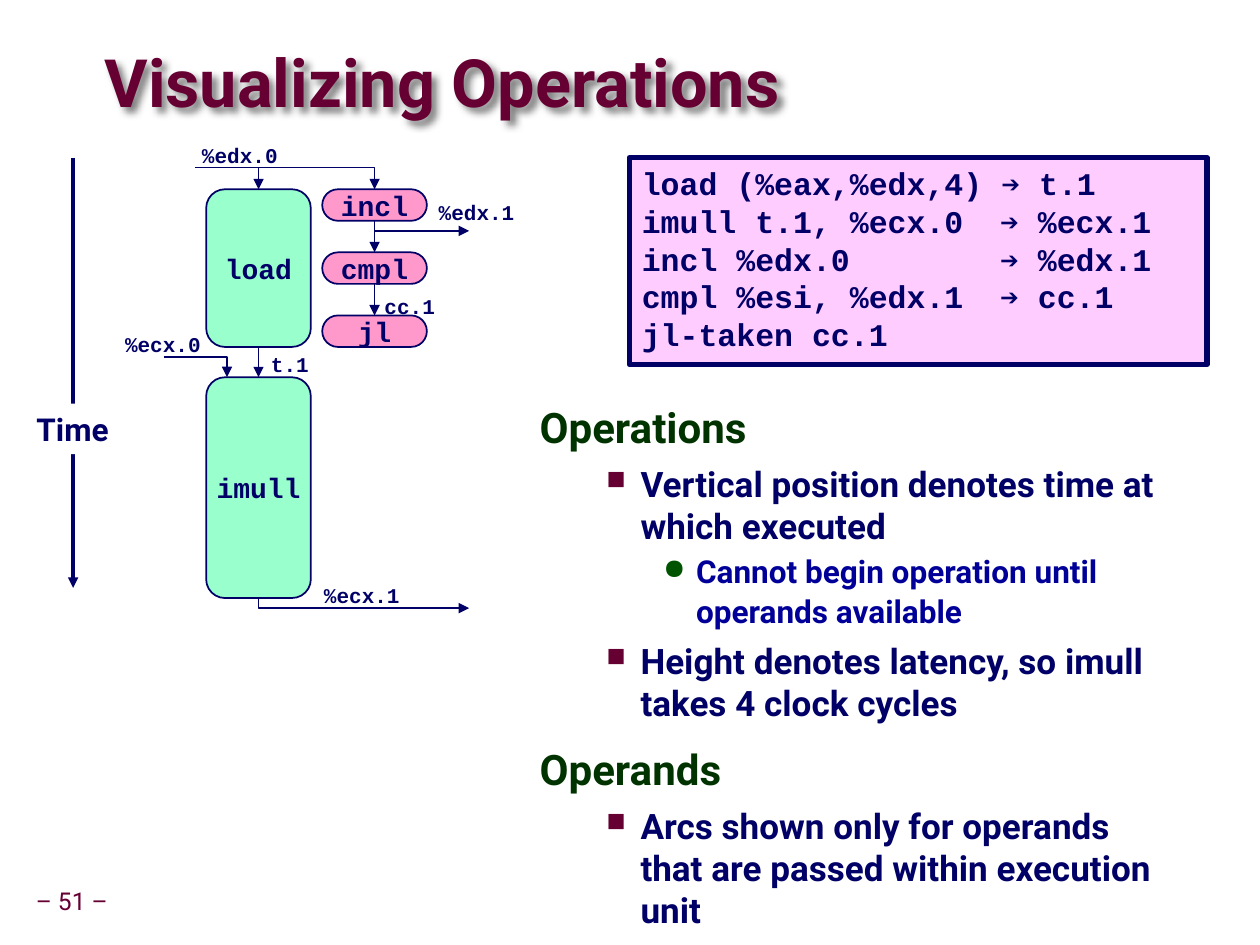
import pptx
import pptx.dml.color
import pptx.enum.shapes
import pptx.enum.text
import pptx.oxml
import pptx.oxml.ns
import pptx.util
from dataclasses import dataclass

Inches, Pt = pptx.util.Inches, pptx.util.Pt
RGB = pptx.dml.color.RGBColor.from_string
SHAPE = pptx.enum.shapes.MSO_SHAPE
STRAIGHT = pptx.enum.shapes.MSO_CONNECTOR.STRAIGHT
ALIGN, ANCHOR = pptx.enum.text.PP_ALIGN, pptx.enum.text.MSO_ANCHOR
NS = pptx.oxml.ns.nsdecls("a")


@dataclass(frozen=True)
class Theme:
    sans: str = "Roboto"
    mono: str = "Courier New"
    navy: str = "000066"
    blue: str = "000099"
    wine: str = "660033"
    green: str = "003300"
    dot: str = "005400"
    mint: str = "99FFCC"
    pink: str = "FF99CC"
    pale: str = "FFCCFF"
    white: str = "FFFFFF"
    shadow: str = "808080"
    title: int = 38
    heading: int = 24
    point: int = 20
    code: int = 18
    node: int = 16
    page: int = 14
    label: int = 12


theme = Theme()


def write(sp, text, font=theme.sans, size=theme.code, color=theme.navy, bold=True,
          align=ALIGN.LEFT, anchor=ANCHOR.TOP, wrap=False, inset=(0.1, 0.05),
          spacing=1.0, before=0, indent=None, bullet=None, tab=None):
    """Add one formatted paragraph to a shape, filling its empty first one."""
    tf = sp.text_frame
    tf.word_wrap, tf.vertical_anchor = wrap, anchor
    tf.margin_left = tf.margin_right = Inches(inset[0])
    tf.margin_top = tf.margin_bottom = Inches(inset[1])
    first = not tf.paragraphs[0].runs
    p = tf.paragraphs[0] if first else tf.add_paragraph()
    pPr = p._p.get_or_add_pPr()
    if indent:
        pPr.set("marL", str(Inches(indent[0])))
        pPr.set("indent", str(Inches(indent[1])))
    if bullet:
        char, tint, percent = bullet
        for xml in (f'<a:buClr {NS}><a:srgbClr val="{tint}"/></a:buClr>',
                    f'<a:buSzPct {NS} val="{percent * 1000}"/>',
                    f'<a:buChar {NS} char="{char}"/>'):
            pPr.append(pptx.oxml.parse_xml(xml))
    if tab:
        pPr.append(pptx.oxml.parse_xml(
            f'<a:tabLst {NS}><a:tab pos="{Inches(tab)}" algn="l"/></a:tabLst>'))
    p.alignment, p.line_spacing = align, spacing
    p.space_before = Pt(0 if first else before)
    r = p.add_run()
    r.text = text
    r.font.name, r.font.size, r.font.bold = font, Pt(size), bold
    r.font.color.rgb = RGB(color)


def style_line(sp, width=0.75, arrow=True):
    """Give a line its colour and arrowhead, and take its shadow away."""
    sp.line.color.rgb = RGB(theme.navy)
    sp.line.width = Pt(width)
    if arrow:
        sp.line._get_or_add_ln().append(
            pptx.oxml.parse_xml(f'<a:tailEnd {NS} type="triangle"/>'))
    spPr = sp._element.spPr
    if spPr.find(pptx.oxml.ns.qn("a:effectLst")) is None:
        spPr.append(pptx.oxml.parse_xml(f"<a:effectLst {NS}/>"))


prs = pptx.Presentation()
prs.slide_width, prs.slide_height = Inches(9.99), Inches(7.49)
s = prs.slides.add_slide(prs.slide_layouts[6])
shapes = s.shapes

# Page number and title
page = shapes.add_textbox(Inches(0.12), Inches(6.99), Inches(0.9), Inches(0.32))
write(page, "– 51 –", size=theme.page, color=theme.wine, bold=False, align=ALIGN.CENTER,
      anchor=ANCHOR.MIDDLE, inset=(0.05, 0.05), spacing=0.9)
title = shapes.add_textbox(Inches(0.83), Inches(0.37), Inches(6.94), Inches(0.63))
write(title, "Visualizing Operations", size=theme.title, color=theme.wine,
      anchor=ANCHOR.MIDDLE, wrap=True, inset=(0, 0), spacing=0.87)
# A shadow on an unfilled box falls from its letters
title._element.spPr.append(pptx.oxml.parse_xml(
    f'<a:effectLst {NS}><a:outerShdw blurRad="{Pt(4)}" dist="{Pt(4)}" dir="2700000">'
    f'<a:srgbClr val="{theme.shadow}"/></a:outerShdw></a:effectLst>'))

# Explanation
body = shapes.add_textbox(Inches(4.18), Inches(3.16), Inches(5.21), Inches(2.98))
levels = [
    dict(size=theme.heading, color=theme.green, spacing=0.95, before=13.5, indent=(0.42, -0.42)),
    dict(size=theme.point, before=5.5, indent=(0.8, -0.27), bullet=("■", theme.wine, 75)),
    dict(size=theme.code, color=theme.blue, spacing=1.05, before=2, indent=(1.24, -0.26),
         bullet=("●", theme.dot, 90)),
]
for level, text in [
    (0, "Operations"),
    (1, "Vertical position denotes time at which executed"),
    (2, "Cannot begin operation until operands available"),
    (1, "Height denotes latency, so imull takes 4 clock cycles"),
    (0, "Operands"),
    (1, "Arcs shown only for operands that are passed within execution unit"),
]:
    write(body, text, wrap=True, **levels[level])

# Operations, placed on a grid of half-inch clock cycles
node_width, main_x, side_x = 0.83, 2.05, 2.97
nodes = {}
for name, center, top, height, fill, corner in [
    ("load", main_x, 1.5, 1.25, theme.mint, 0.18),
    ("imull", main_x, 2.99, 1.75, theme.mint, 0.18),
    ("incl", side_x, 1.5, 0.25, theme.pink, 0.5),
    ("cmpl", side_x, 2, 0.25, theme.pink, 0.5),
    ("jl", side_x, 2.5, 0.25, theme.pink, 0.5),
]:
    sp = shapes.add_shape(SHAPE.ROUNDED_RECTANGLE, Inches(center - node_width / 2),
                          Inches(top), Inches(node_width), Inches(height))
    sp.adjustments[0] = corner
    sp.shadow.inherit = False
    sp.fill.solid()
    sp.fill.fore_color.rgb = RGB(fill)
    style_line(sp, 1, arrow=False)
    write(sp, name, font=theme.mono, size=theme.node, align=ALIGN.CENTER, anchor=ANCHOR.MIDDLE)
    nodes[name] = sp

# Straight arcs
for x1, y1, x2, y2, source, target in [
    (main_x, 1.33, main_x, 1.5, None, "load"),
    (main_x, 2.75, main_x, 2.99, "load", "imull"),
    (side_x, 1.75, side_x, 2, "incl", "cmpl"),
    (side_x, 2.25, side_x, 2.5, "cmpl", "jl"),
    (side_x, 1.83, 3.72, 1.83, None, None),
]:
    arc = shapes.add_connector(STRAIGHT, Inches(x1), Inches(y1), Inches(x2), Inches(y2))
    if source:
        arc.begin_connect(nodes[source], 2)
    if target:
        arc.end_connect(nodes[target], 0)
    style_line(arc)

# Bent arcs
for start, *bends in [
    [(1.55, 1.33), (side_x, 1.33), (side_x, 1.5)],
    [(1.3, 2.83), (1.8, 2.83), (1.8, 2.99)],
    [(main_x, 4.74), (main_x, 4.82), (3.72, 4.82)],
]:
    builder = shapes.build_freeform(Inches(start[0]), Inches(start[1]))
    builder.add_line_segments([(Inches(x), Inches(y)) for x, y in bends], close=False)
    arc = builder.convert_to_shape()
    arc.shadow.inherit = False
    arc.fill.background()
    style_line(arc)

# Operand labels
for text, left, top, width, align in [
    ("%edx.0", 1.45, 1.08, 0.85, ALIGN.RIGHT),
    ("%edx.1", 3.38, 1.53, 0.81, ALIGN.LEFT),
    ("cc.1", 2.95, 2.28, 0.61, ALIGN.LEFT),
    ("%ecx.0", 0.88, 2.58, 0.81, ALIGN.RIGHT),
    ("t.1", 2.05, 2.74, 0.5, ALIGN.LEFT),
    ("%ecx.1", 2.47, 4.57, 0.81, ALIGN.LEFT),
]:
    label = shapes.add_textbox(Inches(left), Inches(top), Inches(width), Inches(0.3))
    write(label, text, font=theme.mono, size=theme.label, align=align)

# Code listing
code = shapes.add_shape(SHAPE.RECTANGLE, Inches(4.99), Inches(1.25), Inches(4.58), Inches(1.64))
code.shadow.inherit = False
code.fill.solid()
code.fill.fore_color.rgb = RGB(theme.pale)
style_line(code, 3, arrow=False)
for text in ["load (%eax,%edx,4) ➔ t.1", "imull t.1, %ecx.0\t➔ %ecx.1", "incl %edx.0\t➔ %edx.1",
             "cmpl %esi, %edx.1\t➔ cc.1", "jl-taken cc.1"]:
    write(code, text, font=theme.mono, wrap=True, tab=2.84)

# Time axis
axis = shapes.add_connector(STRAIGHT, Inches(0.58), Inches(1.25), Inches(0.58), Inches(4.66))
style_line(axis, 2)
time = shapes.add_shape(SHAPE.RECTANGLE, Inches(0.15), Inches(3.2), Inches(0.85), Inches(0.4))
time.shadow.inherit = False
time.fill.solid()
time.fill.fore_color.rgb = RGB(theme.white)
time.line.fill.background()
write(time, "Time", align=ALIGN.CENTER, wrap=True)

prs.save("out.pptx")
